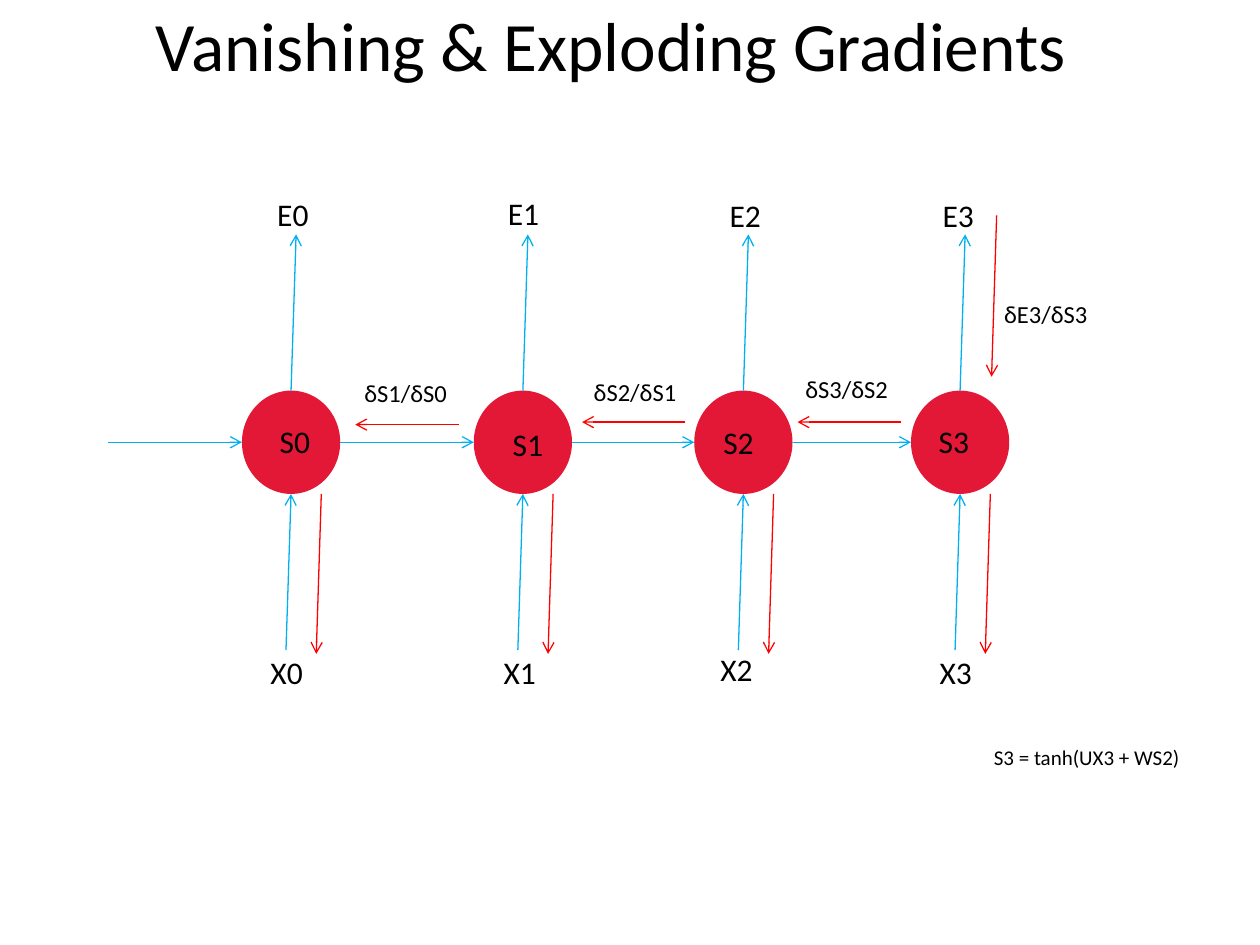
from lxml.etree import SubElement
from pptx import Presentation
from pptx.dml.color import RGBColor
from pptx.enum.shapes import MSO_CONNECTOR, MSO_SHAPE
from pptx.enum.text import MSO_ANCHOR, PP_ALIGN
from pptx.oxml.ns import qn
from pptx.util import Inches, Pt

TITLE = "Vanishing & Exploding Gradients"
STATES = [
    {"left": 1.92, "state": ("S0", 2.13, 3.35, PP_ALIGN.CENTER),
     "input": ("X0", 1.96, 5.18), "error": ("E0", 2.01, 1.55)},
    {"left": 3.76, "state": ("S1", 3.98, 3.37, PP_ALIGN.CENTER),
     "input": ("X1", 3.81, 5.18), "error": ("E1", 3.84, 1.54)},
    {"left": 5.51, "state": ("S2", 5.74, 3.36, PP_ALIGN.LEFT),
     "input": ("X2", 5.53, 5.16), "error": ("E2", 5.6, 1.56)},
    {"left": 7.23, "state": ("S3", 7.45, 3.35, PP_ALIGN.LEFT),
     "input": ("X3", 7.27, 5.18), "error": ("E3", 7.29, 1.56)},
]
GRADIENTS = [
    ("δS1/δS0", 2.82, 3.0),
    ("δS2/δS1", 4.64, 2.99),
    ("δS3/δS2", 6.32, 2.97),
    ("δE3/δS3", 7.9, 2.37),
]
BACKWARD_STEPS = [(3.64, 3.37), (5.44, 3.35), (7.15, 3.35)]
FORMULA = ("S3 = tanh(UX3 + WS2)", 7.14, 5.91)

THEME = {
    "font": "Calibri", "text": "000000", "node": "E31837",
    "forward": "00B0F0", "backward": "FF0000", "line": 0.75,
    "title": 39.6, "label": 18, "gradient": 14, "formula": 12,
}
NODE_WIDTH, NODE_HEIGHT, NODE_TOP = 0.78, 0.82, 3.1
NODE_MIDDLE = NODE_TOP + NODE_HEIGHT / 2
NODE_BOTTOM = NODE_TOP + NODE_HEIGHT
FIRST_LEFT, STEP_LENGTH, SLANT = 0.86, 0.82, 0.04
ERROR_BOTTOM, INPUT_TOP = 1.86, 5.16
BACKWARD_OFFSET, BACKWARD_END = 0.24, 5.19


def write(paragraph, text, size, alignment=PP_ALIGN.CENTER):
    paragraph.text = text
    paragraph.alignment = alignment
    formats = {"name": THEME["font"], "size": Pt(THEME[size])}
    for name, value in formats.items():
        setattr(paragraph.font, name, value)
    paragraph.font.color.rgb = RGBColor.from_string(THEME["text"])


def add_label(slide, text, left, top, width, height, size, alignment=PP_ALIGN.CENTER):
    box = slide.shapes.add_textbox(*map(Inches, (left, top, width, height)))
    formats = {"margin_left": 0, "margin_top": 0, "margin_right": 0,
               "margin_bottom": 0, "word_wrap": True}
    for name, value in formats.items():
        setattr(box.text_frame, name, value)
    write(box.text_frame.paragraphs[0], text, size, alignment)


def add_arrow(slide, start, end, color):
    arrow = slide.shapes.add_connector(
        MSO_CONNECTOR.STRAIGHT, *map(Inches, (*start, *end)))
    arrow.line.color.rgb = RGBColor.from_string(THEME[color])
    arrow.line.width = Pt(THEME["line"])
    SubElement(arrow.line._get_or_add_ln(), qn("a:tailEnd"), type="arrow")
    SubElement(arrow._element.spPr, qn("a:effectLst"))
    return arrow


def add_node(slide, left):
    node = slide.shapes.add_shape(
        MSO_SHAPE.OVAL, *map(Inches, (left, NODE_TOP, NODE_WIDTH, NODE_HEIGHT)))
    node.shadow.inherit = False
    node.fill.solid()
    node.fill.fore_color.rgb = RGBColor.from_string(THEME["node"])
    node.line.fill.background()
    return node


def add_state(slide, state, previous_right):
    left = state["left"]
    center = left + NODE_WIDTH / 2
    node = add_node(slide, left)
    add_arrow(slide, (previous_right, NODE_MIDDLE), (left, NODE_MIDDLE), "forward")
    add_arrow(slide, (center - SLANT, INPUT_TOP), (center, NODE_BOTTOM), "forward")
    error_arrow = add_arrow(
        slide, (center, NODE_TOP), (center + SLANT, ERROR_BOTTOM), "forward")
    error_arrow.begin_connect(node, 0)
    backward = center + BACKWARD_OFFSET
    add_arrow(slide, (backward, NODE_BOTTOM), (backward - SLANT, BACKWARD_END), "backward")
    text, label_left, top, alignment = state["state"]
    add_label(slide, text, label_left, top, 0.42, 0.3, "label", alignment)
    for part in ("input", "error"):
        add_label(slide, *state[part], 0.63, 0.3, "label")


def main():
    presentation = Presentation()
    presentation.slide_width, presentation.slide_height = Inches(10), Inches(7.5)
    slide = presentation.slides.add_slide(presentation.slide_layouts[5])

    title = slide.shapes.title
    place = {"left": 0.35, "top": 0.08, "width": 9, "height": 0.54}
    for name, value in place.items():
        setattr(title, name, Inches(value))
    title.text_frame.vertical_anchor = MSO_ANCHOR.MIDDLE
    write(title.text_frame.paragraphs[0], TITLE, "title")

    previous_right = FIRST_LEFT
    for state in STATES:
        add_state(slide, state, previous_right)
        previous_right = state["left"] + NODE_WIDTH

    for right, top in BACKWARD_STEPS:
        add_arrow(slide, (right, top), (right - STEP_LENGTH, top), "backward")
    add_arrow(slide, (7.91, 1.71), (7.87, 2.99), "backward")
    for gradient in GRADIENTS:
        add_label(slide, *gradient, 0.8, 0.24, "gradient")
    add_label(slide, *FORMULA, 2.97, 0.2, "formula")

    presentation.save("out.pptx")


if __name__ == "__main__":
    main()
